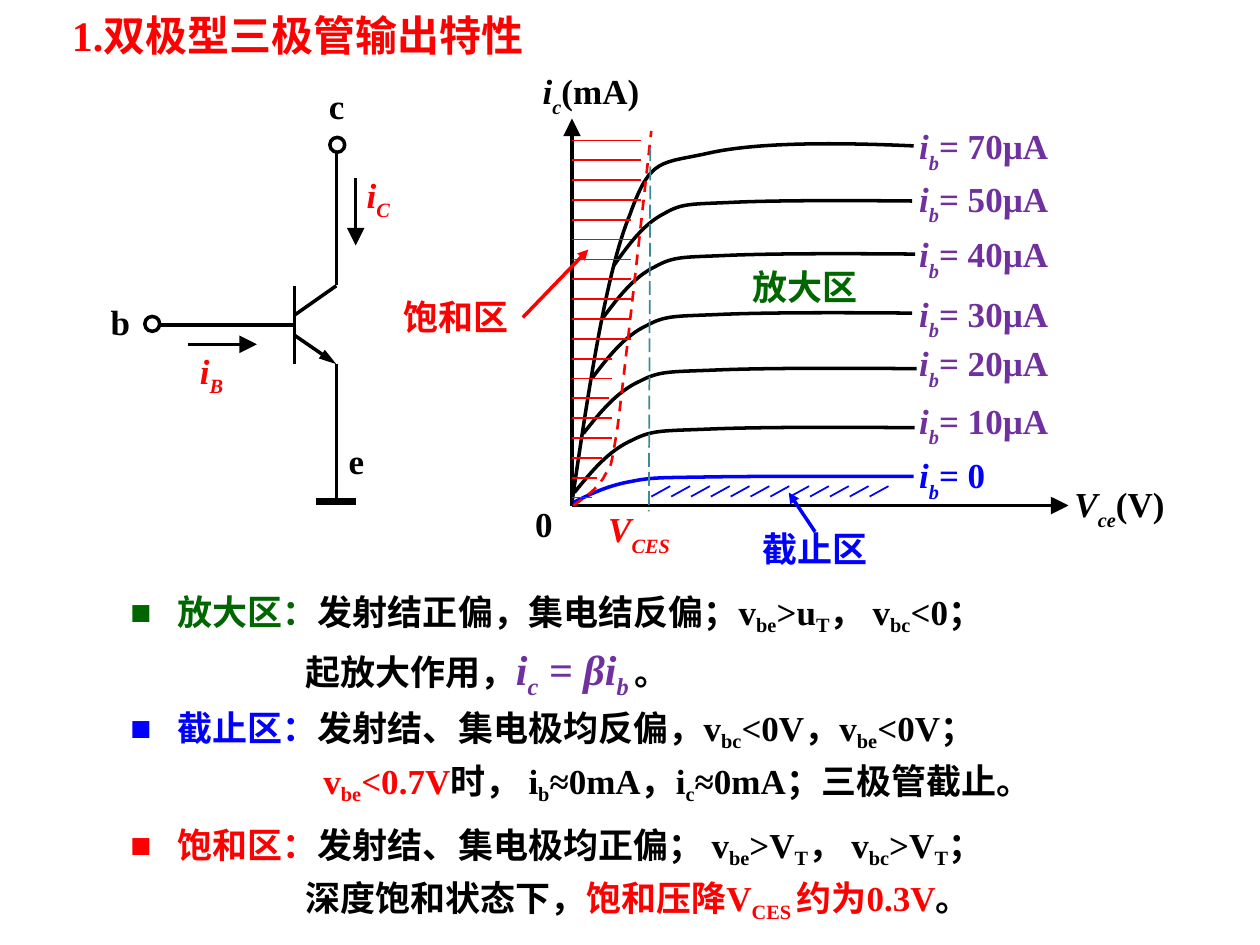
from typing import NamedTuple, Optional

from lxml.etree import SubElement
from pptx import Presentation
from pptx.dml.color import RGBColor
from pptx.enum.dml import MSO_LINE
from pptx.enum.shapes import MSO_CONNECTOR, MSO_SHAPE
from pptx.enum.text import MSO_ANCHOR, MSO_AUTO_SIZE
from pptx.oxml.ns import qn
from pptx.util import Cm, Pt

BLACK, RED, BLUE = "000000", "FF0000", "0000FF"
GREEN, PURPLE, TEAL = "006600", "7030A0", "3C8C93"
FONT = "Times New Roman"
CURVE_PROFILE = [(0, 1), (0.05, 0.68), (0.1, 0.36), (0.17, 0.2), (0.23, 0.04),
                 (0.26, 0.06), (0.4, 0.03), (0.54, 0), (0.77, 0), (1, 0.01)]
SATURATION_EDGE = [(11.56, 10.19), (11.79, 10.03), (12.01, 9.88), (12.17, 9.63),
                   (12.29, 9.35), (12.27, 9.75), (12.45, 8.61), (12.6, 7.44),
                   (13.13, 2.64), (13.13, 2.64)]
CURVES = [("70µA", 11.53, 18.42, 2.87, 7.26, 2.39), ("50µA", 12.37, 18.39, 4.04, 1.32, 3.45),
          ("40µA", 12.14, 18.45, 5.11, 1.32, 4.57), ("30µA", 11.94, 18.39, 6.3, 1.32, 5.77),
          ("20µA", 11.76, 18.48, 7.42, 1.32, 6.76), ("10µA", 11.58, 18.44, 8.61, 1.32, 7.92),
          ("0", 11.56, 18.42, 9.6, 0.53, 9.02)]
HATCH_STEP = 0.4
HATCH_ENDS = [12.93] * 4 + [12.73] * 7 + [12.34, 12.34, 12.27, 12.34, 12.34,
                                          12.14, 12.04, 11.94]


class Part(NamedTuple):
    """A stretch of text in one style, with its subscripts in braces."""
    text: str
    color: Optional[str] = None
    italic: Optional[bool] = None
    size: Optional[float] = None
    drop: int = -20


def rgb(color):
    """Turn a hex string into a colour."""
    return RGBColor.from_string(color)


def write(paragraph, parts, color, size=20):
    """Fill a paragraph with bold parts."""
    paragraph.font.name, paragraph.font.size = FONT, Pt(size)
    paragraph.font.bold = True
    paragraph.font.color.rgb = rgb(color)
    for part in parts:
        for index, piece in enumerate(part.text.replace("}", "{").split("{")):
            if not piece:
                continue
            run = paragraph.add_run()
            run.text = piece
            run.font.italic = part.italic
            if part.size:
                run.font.size = Pt(part.size)
            if part.color:
                run.font.color.rgb = rgb(part.color)
            if index % 2:
                run.font._element.set("baseline", str(part.drop * 1000))


def add_frame(slide, left, top, width, height, wrap):
    """Add a text box that grows with its text."""
    frame = slide.shapes.add_textbox(Cm(left), Cm(top), Cm(width), Cm(height)).text_frame
    frame.word_wrap = wrap
    frame.auto_size = MSO_AUTO_SIZE.SHAPE_TO_FIT_TEXT
    return frame


def add_title(slide, text):
    """Add the slide's heading."""
    frame = add_frame(slide, 0.99, 0, 11.4, 1.4, True)
    frame.auto_size = MSO_AUTO_SIZE.NONE
    frame.vertical_anchor = MSO_ANCHOR.MIDDLE
    frame.margin_left = Cm(0.46)
    write(frame.paragraphs[0], [Part(text)], RED, 24)


def add_label(slide, left, top, width, parts, color):
    """Add a one-line label."""
    frame = add_frame(slide, left, top, width, 1.12, False)
    write(frame.paragraphs[0], parts, color)


def add_region_notes(slide, box, name, color, conditions, effect, effect_indent):
    """Add a bulleted region description with an indented second line."""
    frame = add_frame(slide, *box, True)
    heading, detail = frame.paragraphs[0], frame.add_paragraph()
    for paragraph, margin, indent in ((heading, 0.95, -0.95), (detail, effect_indent, 0)):
        paragraph.space_before = Pt(4)
        properties = paragraph._p.get_or_add_pPr()
        properties.set("marL", str(Cm(margin)))
        properties.set("indent", str(Cm(indent)))
    SubElement(heading._p.pPr, qn("a:buFont"), typeface=FONT)
    SubElement(heading._p.pPr, qn("a:buChar"), char="■")
    write(heading, [Part(name, color), Part(conditions)], BLACK)
    write(detail, effect, BLACK)


def style_line(line, color, weight, dash=None):
    """Set an outline's colour, weight and dash."""
    line.color.rgb = rgb(color)
    line.width = Pt(weight)
    if dash:
        line.dash_style = dash


def add_line(slide, start, end, color=BLACK, weight=2, dash=None, arrow=None):
    """Draw a straight line, with an arrowhead of (width, length) if given."""
    line = slide.shapes.add_connector(MSO_CONNECTOR.STRAIGHT, *map(Cm, start + end))
    style_line(line.line, color, weight, dash)
    properties = line._element.spPr
    if arrow:
        SubElement(properties.find(qn("a:ln")), qn("a:tailEnd"),
                   type="triangle", w=arrow[0], len=arrow[1])
    SubElement(properties, qn("a:effectLst"))


def add_curve(slide, controls, color, weight=2, dash=None):
    """Draw an open chain of cubic Bezier segments."""
    start, *rest = [(Cm(x), Cm(y)) for x, y in controls]
    builder = slide.shapes.build_freeform(*start)
    builder.add_line_segments(rest, close=False)
    curve = builder.convert_to_shape()
    segments = list(curve._element.iter(qn("a:lnTo")))
    outline = segments[0].getparent()
    for first in range(0, len(segments), 3):
        bezier = SubElement(outline, qn("a:cubicBezTo"))
        for segment in segments[first:first + 3]:
            bezier.append(segment[0])
            outline.remove(segment)
    curve.shadow.inherit = False
    curve.fill.background()
    style_line(curve.line, color, weight, dash)


def add_terminal(slide, left, top):
    """Draw an open circuit terminal."""
    terminal = slide.shapes.add_shape(MSO_SHAPE.OVAL, Cm(left), Cm(top), Cm(0.3), Cm(0.3))
    terminal.shadow.inherit = False
    terminal.fill.solid()
    terminal.fill.fore_color.rgb = rgb("FFFFFF")
    style_line(terminal.line, BLACK, 2)


def add_transistor(slide):
    """Draw the transistor with its terminals and currents."""
    large = ("lg", "lg")
    for start, end in [((6.78, 2.97), (6.78, 5.75)), ((6.78, 7.34), (6.78, 10.11)),
                       ((5.94, 5.76), (5.94, 7.34)), ((6.78, 5.76), (5.94, 6.35)),
                       ((3.2, 6.55), (5.96, 6.55))]:
        add_line(slide, start, end)
    add_line(slide, (5.94, 6.76), (6.78, 7.34), arrow=("med", "lg"))
    add_line(slide, (3.78, 6.94), (5.18, 6.94), arrow=large)
    add_line(slide, (7.17, 3.58), (7.17, 4.95), arrow=large)
    add_line(slide, (6.38, 10.12), (7.17, 10.12), weight=4)
    add_terminal(slide, 6.65, 2.77)
    add_terminal(slide, 2.92, 6.38)
    for name, left, top in [("c", 6.38, 1.57), ("b", 1.98, 5.94), ("e", 6.78, 8.74)]:
        add_label(slide, left, top, 0.85, [Part(name)], BLACK)
    for name, left, top in [("i{B}", 3.78, 6.93), ("i{C}", 7.14, 3.38)]:
        add_label(slide, left, top, 1.02, [Part(name, italic=True, drop=-25)], RED)


def add_characteristics(slide):
    """Draw the output characteristics with their three regions."""
    large, medium = ("lg", "lg"), ("med", "med")
    add_line(slide, (11.53, 10.19), (21.54, 10.19), arrow=large)
    add_line(slide, (11.53, 10.21), (11.53, 2.39), arrow=large)
    for current, left, right, top, height, label_top in CURVES:
        controls = [(left + x * (right - left), top + y * height) for x, y in CURVE_PROFILE]
        is_cutoff = current == "0"
        add_curve(slide, controls, BLUE if is_cutoff else BLACK)
        add_label(slide, 18.28, label_top, 1.88 if is_cutoff else 3.18,
                  [Part("i{b}", italic=True, drop=-30), Part(f"= {current}")],
                  BLUE if is_cutoff else PURPLE)
    add_curve(slide, SATURATION_EDGE, RED, 1.5, MSO_LINE.DASH)
    for row, end in enumerate(HATCH_ENDS):
        y = 2.83 + row * HATCH_STEP
        add_line(slide, (11.53, y), (end, y), RED, 1)
    for column in range(12):
        x = 13.51 + column * HATCH_STEP
        add_line(slide, (x, 9.8), (x - 0.38, 10.01), BLUE, 1)
    add_line(slide, (13.11, 2.97), (13.08, 10.31), TEAL, 1, MSO_LINE.LONG_DASH)
    add_line(slide, (16.43, 10.72), (15.9, 9.93), BLUE, arrow=medium)
    add_line(slide, (10.54, 6.4), (11.86, 5.03), RED, arrow=medium)
    for name, unit, left, top in [("V{ce}", "(V)", 21.41, 9.6), ("i{c}", "(mA)", 10.69, 1.27)]:
        add_label(slide, left, top, 2.45, [Part(name, italic=True, drop=-30), Part(unit)], BLACK)
    add_label(slide, 12.01, 10.11, 1.88, [Part("V{CES}", italic=True, drop=-30)], RED)
    add_label(slide, 10.54, 10.01, 0.86, [Part("0")], BLACK)
    for name, left, top, color in [("放大区", 14.92, 5.23, GREEN), ("饱和区", 7.88, 5.83, RED),
                                   ("截止区", 15.12, 10.51, BLUE)]:
        add_label(slide, left, top, 2.67, [Part(name)], color)


def main():
    """Build the slide and save it."""
    presentation = Presentation()
    presentation.slide_width, presentation.slide_height = Cm(25.4), Cm(19.05)
    slide = presentation.slides.add_slide(presentation.slide_layouts[6])
    add_title(slide, "1.双极型三极管输出特性")
    add_region_notes(slide, (2.38, 11.77, 20.62, 2.34), "放大区：", GREEN,
                     "发射结正偏，集电结反偏；v{be}>u{T}， v{bc}<0；",
                     [Part("起放大作用，"), Part("i{c} = βi{b }", PURPLE, True, 24, -25),
                      Part("。")], 3.53)
    add_region_notes(slide, (2.38, 14.11, 22.02, 2.13), "截止区：", BLUE,
                     "发射结、集电极均反偏，v{bc}<0V，v{be}<0V；",
                     [Part("v{be}<0.7V", RED),
                      Part("时， i{b}≈0mA，i{c}≈0mA；三极管截止。")], 3.89)
    add_region_notes(slide, (2.38, 16.47, 19.46, 2.13), "饱和区：", RED,
                     "发射结、集电极均正偏； v{be}>V{T}， v{bc}>V{T}；",
                     [Part("深度饱和状态下，"), Part("饱和压降V{CES }约为0.3V", RED, drop=-25),
                      Part("。")], 3.53)
    add_characteristics(slide)
    add_transistor(slide)
    presentation.save("out.pptx")


if __name__ == "__main__":
    main()
